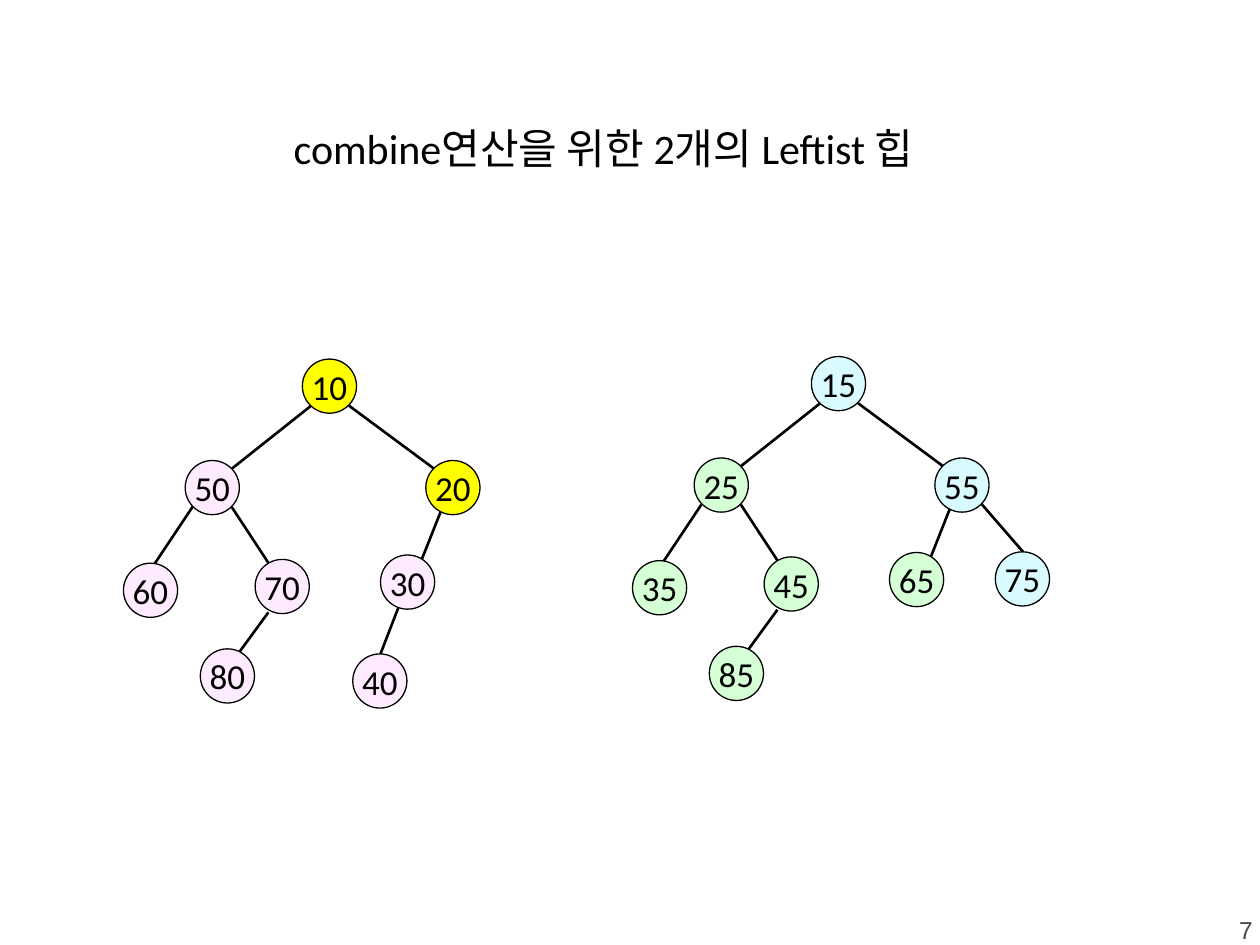
from dataclasses import dataclass

from lxml.etree import SubElement
from pptx import Presentation
from pptx.dml.color import RGBColor
from pptx.enum.shapes import MSO_CONNECTOR, MSO_SHAPE
from pptx.enum.text import MSO_ANCHOR, PP_ALIGN
from pptx.oxml.ns import qn
from pptx.util import Inches, Pt


@dataclass(frozen=True)
class Theme:
    ink: str = "000000"
    page: str = "464653"
    yellow: str = "FFFF00"
    pink: str = "FFEBFF"
    green: str = "D5FFD5"
    blue: str = "D9FAFF"
    font: str = "Calibri"
    page_font: str = "Arial"
    title_size: float = 24
    key_size: float = 20
    page_size: float = 14
    edge_width: float = 1.5
    node_width: float = 0.75


T = Theme()

# Slide grid: 100 columns by 75 rows
WIDTH, HEIGHT = Inches(10), Inches(7.5)
COL, ROW = WIDTH / 100, HEIGHT / 75
NODE = 4.3
LABEL_W, LABEL_H = 5.3, 4.4

# Tree slots, named by the path from the root:
# node corner, then edge start and end, all measured from the root's corner
SLOTS = {
    "root": ((0, 0), None),
    "l": ((-9.3, 8.05), ((0.7, 3.7), (-5.6, 8.7))),
    "r": ((9.8, 8.05), ((3.7, 3.7), (10.45, 8.7))),
    "ll": ((-14.2, 16.2), ((-8.7, 11.7), (-11.9, 16.5))),
    "lr": ((-3.75, 15.9), ((-5.6, 11.75), (-1.7, 17.7))),
    "lrl": ((-8.1, 23), ((-2.7, 20.1), (-5.55, 24))),
    "rl": ((6.2, 15.55), ((11, 12.05), (9.2, 16.6))),
    "rll": ((4, 23.4), ((8.4, 17.7), (6.2, 23.4))),
    "rr": ((14.6, 15.5), ((13.5, 11.7), (16.8, 15.5))),
}

# Each heap: the root's corner, then slot -> (key, fill)
HEAPS = [
    ((64.4, 28.3), {
        "root": ("15", T.blue), "l": ("25", T.green), "r": ("55", T.blue),
        "ll": ("35", T.green), "lr": ("45", T.green), "lrl": ("85", T.green),
        "rl": ("65", T.green), "rr": ("75", T.blue),
    }),
    ((24, 28.5), {
        "root": ("10", T.yellow), "l": ("50", T.pink), "r": ("20", T.yellow),
        "ll": ("60", T.pink), "lr": ("70", T.pink), "lrl": ("80", T.pink),
        "rl": ("30", T.pink), "rll": ("40", T.pink),
    }),
]


def cells(*values):
    """Turn alternating column and row counts into lengths."""
    return [round(v * (ROW if i % 2 else COL)) for i, v in enumerate(values)]


def shift(origin, point):
    return origin[0] + point[0], origin[1] + point[1]


def add_text(shapes, text, box, *, size, font=T.font, color=T.ink,
             align=PP_ALIGN.CENTER, anchor=MSO_ANCHOR.TOP, wrap=True):
    tf = shapes.add_textbox(*cells(*box)).text_frame
    tf.word_wrap = wrap
    tf.vertical_anchor = anchor
    p = tf.paragraphs[0]
    p.alignment = align
    r = p.add_run()
    r.text = text
    r.font.size, r.font.name = Pt(size), font
    r.font.color.rgb = RGBColor.from_string(color)


def set_line(shape, width):
    shape.line.color.rgb = RGBColor.from_string(T.ink)
    shape.line.width = Pt(width)


def add_edge(shapes, start, end):
    c = shapes.add_connector(MSO_CONNECTOR.STRAIGHT, *cells(*start, *end))
    set_line(c, T.edge_width)
    SubElement(c._element.spPr, qn("a:effectLst"))


def add_node(shapes, corner, fill):
    sp = shapes.add_shape(MSO_SHAPE.OVAL, *cells(*corner, NODE, NODE))
    sp.shadow.inherit = False
    sp.fill.solid()
    sp.fill.fore_color.rgb = RGBColor.from_string(fill)
    set_line(sp, T.node_width)


def add_key(shapes, corner, key):
    # The label is centred on its node
    x, y = shift(corner, ((NODE - LABEL_W) / 2, (NODE - LABEL_H) / 2))
    add_text(shapes, key, (x, y, LABEL_W, LABEL_H), size=T.key_size,
             anchor=MSO_ANCHOR.MIDDLE, wrap=False)


def add_heap(s, origin, keys):
    shapes = s.shapes.add_group_shape().shapes
    # Edges lie behind the nodes
    for slot in keys:
        edge = SLOTS[slot][1]
        if edge:
            add_edge(shapes, *(shift(origin, end) for end in edge))
    # Nodes with their keys
    for slot, (key, fill) in keys.items():
        corner = shift(origin, SLOTS[slot][0])
        add_node(shapes, corner, fill)
        add_key(shapes, corner, key)


def main():
    prs = Presentation()
    prs.slide_width, prs.slide_height = WIDTH, HEIGHT
    s = prs.slides.add_slide(prs.slide_layouts[6])

    # Heaps
    for origin, keys in HEAPS:
        add_heap(s, origin, keys)

    # Title and page number
    add_text(s.shapes, "combine연산을 위한 2개의 Leftist 힙",
             (16.9, 9.2, 62, 5), size=T.title_size)
    add_text(s.shapes, "7", (78.7, 72.1, 21.7, 4), size=T.page_size,
             font=T.page_font, color=T.page, align=PP_ALIGN.RIGHT)

    prs.save("out.pptx")


main()
